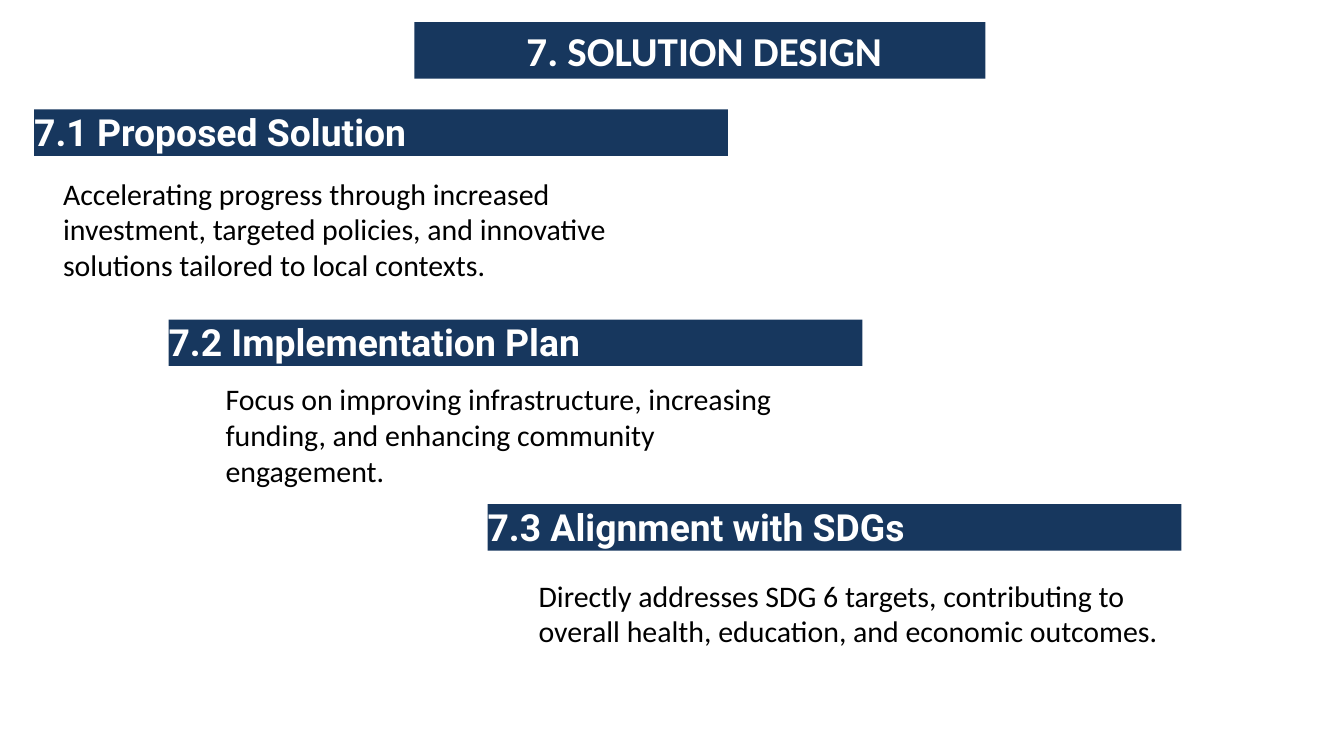
import pptx
import pptx.dml.color
import pptx.enum.shapes
import pptx.enum.text
import pptx.util

SLIDE_WIDTH = pptx.util.Inches(20.01)
SLIDE_HEIGHT = pptx.util.Inches(11.26)
COLORS = {"bar": "17375E", "bar_text": "FFFFFF", "body_text": "000000"}

# Heading bars share one size, in hundredths of the slide
BAR_WIDTH, BAR_HEIGHT = 51.62, 6.13

# Heading, bar position, body text, body area
SECTIONS = [
    ("7.1 Proposed Solution", (2.55, 14.48),
     "Accelerating progress through increased investment, targeted policies, "
     "and innovative solutions tailored to local contexts.",
     (4.2, 22.74, 44.13, 15.28)),
    ("7.2 Implementation Plan", (12.54, 42.27),
     "Focus on improving infrastructure, increasing funding, "
     "and enhancing community engagement.",
     (16.29, 49.91, 44.13, 15.28)),
    ("7.3 Alignment with SDGs", (36.28, 66.7),
     "Directly addresses SDG 6 targets, contributing to overall health, "
     "education, and economic outcomes.",
     (39.58, 75.93, 50.17, 10.48)),
]


def color(name):
    return pptx.dml.color.RGBColor.from_string(COLORS[name])


def area(left, top, width, height):
    """Turn hundredths of the slide into left, top, width and height."""
    return (int(SLIDE_WIDTH * left / 100), int(SLIDE_HEIGHT * top / 100),
            int(SLIDE_WIDTH * width / 100), int(SLIDE_HEIGHT * height / 100))


def write(holder, text, font_name, size, color_name, bold=False, align="LEFT"):
    frame = holder.text_frame
    frame.text = text
    frame.word_wrap = True
    frame.auto_size = pptx.enum.text.MSO_AUTO_SIZE.SHAPE_TO_FIT_TEXT
    frame.vertical_anchor = pptx.enum.text.MSO_ANCHOR.TOP
    line = frame.paragraphs[0]
    line.alignment = getattr(pptx.enum.text.PP_ALIGN, align)
    font = line.runs[0].font
    font.name = font_name
    font.size = pptx.util.Pt(size)
    font.bold = bold
    font.color.rgb = color(color_name)


def fill_bar(bar):
    bar.fill.solid()
    bar.fill.fore_color.rgb = color("bar")
    bar.line.fill.background()


def add_title(slide, text):
    title = slide.shapes.title
    title.left, title.top, title.width, title.height = area(30.83, 2.93, 42.48, 7.46)
    fill_bar(title)
    write(title, text, "Calibri", 44, "bar_text", bold=True, align="CENTER")
    title.text_frame.margin_left = pptx.util.Inches(0.24)


def add_heading(slide, text, left, top):
    heading = slide.shapes.add_shape(
        pptx.enum.shapes.MSO_SHAPE.RECTANGLE, *area(left, top, BAR_WIDTH, BAR_HEIGHT))
    heading.shadow.inherit = False
    fill_bar(heading)
    write(heading, text, "Roboto", 40, "bar_text", bold=True)
    frame = heading.text_frame
    frame.margin_left = frame.margin_right = 0
    frame.margin_top = frame.margin_bottom = 0


def add_body(slide, text, body_area):
    body = slide.shapes.add_textbox(*area(*body_area))
    write(body, text, "Calibri", 32, "body_text")


def main():
    deck = pptx.Presentation()
    deck.slide_width, deck.slide_height = SLIDE_WIDTH, SLIDE_HEIGHT
    title_only = deck.slide_layouts.get_by_name("Title Only")
    slide = deck.slides.add_slide(title_only)

    add_title(slide, "7. SOLUTION DESIGN")

    # Sections step down to the right
    for heading, bar_position, body, body_area in SECTIONS:
        add_heading(slide, heading, *bar_position)
        add_body(slide, body, body_area)

    deck.save("out.pptx")


if __name__ == "__main__":
    main()
